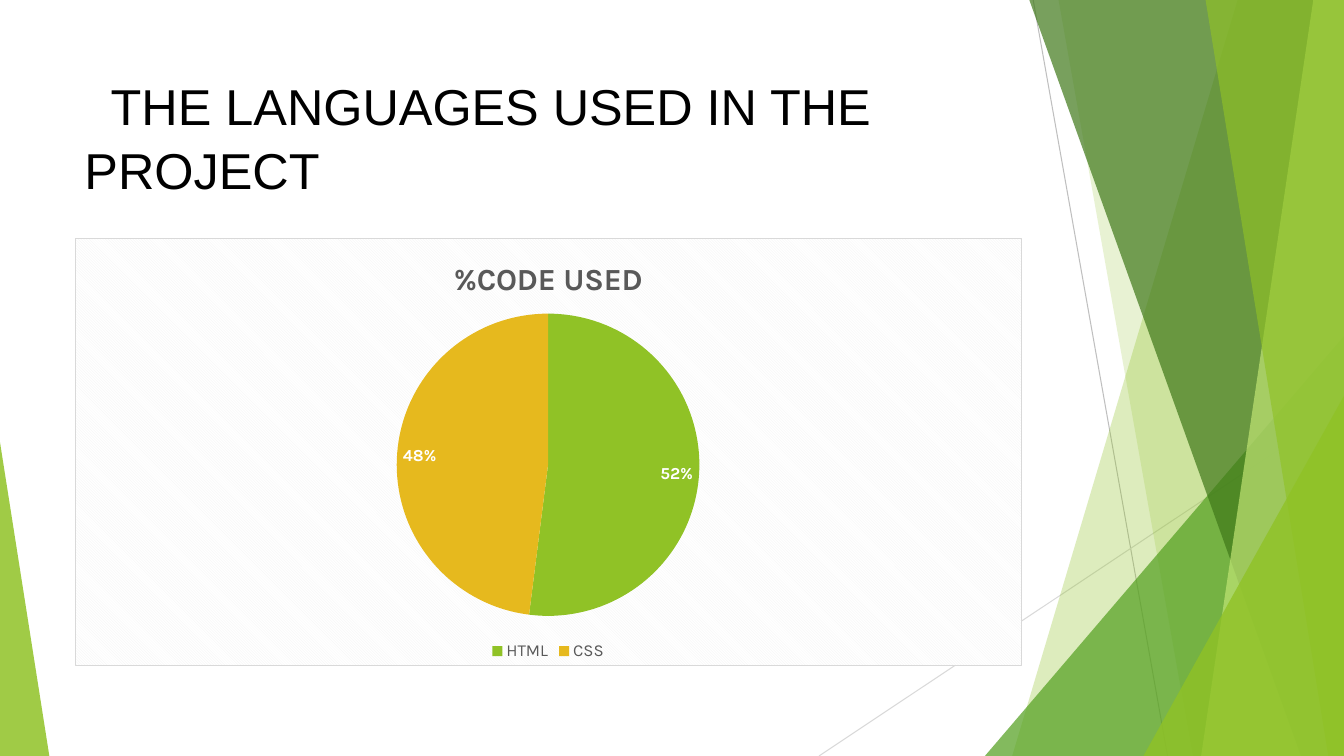
from lxml.etree import SubElement
from pptx import Presentation
from pptx.chart.data import CategoryChartData
from pptx.dml.color import RGBColor
from pptx.enum.chart import XL_CHART_TYPE, XL_LABEL_POSITION, XL_LEGEND_POSITION
from pptx.enum.shapes import MSO_CONNECTOR, MSO_SHAPE
from pptx.enum.text import MSO_ANCHOR
from pptx.oxml import parse_xml
from pptx.oxml.ns import nsdecls, qn
from pptx.util import Pt

PX = 9525
WIDTH, HEIGHT = 1280, 720

BLACK = RGBColor(0x00, 0x00, 0x00)
WHITE = RGBColor(0xFF, 0xFF, 0xFF)
TEXT_GRAY = RGBColor(0x59, 0x59, 0x59)
LINE_GRAY = RGBColor(0xBF, 0xBF, 0xBF)
BORDER_GRAY = RGBColor(0xD9, 0xD9, 0xD9)
HATCH_GRAY = RGBColor(0xF2, 0xF2, 0xF2)
LIME = RGBColor(0x90, 0xC2, 0x26)
GREEN = RGBColor(0x54, 0xA0, 0x21)
DARK_GREEN = RGBColor(0x3F, 0x78, 0x19)
PALE_LIME = RGBColor(0xC0, 0xE4, 0x74)
GOLD = RGBColor(0xE6, 0xB9, 0x1E)


def style_font(font, name, size, color, bold=False):
    font.name = name
    font.size = Pt(size)
    font.bold = bold
    font.color.rgb = color


def write(frame, text, *, font, size, color, bold=False, first_indent=0, spacing=None):
    paragraph = frame.paragraphs[0]
    if first_indent:
        paragraph._p.get_or_add_pPr().set("indent", str(first_indent * PX))
    if spacing:
        paragraph.line_spacing = spacing
    run = paragraph.add_run()
    run.text = text
    style_font(run.font, font, size, color, bold)


class Deck:
    title_font = "Arial"
    chart_font = "Karla"

    def __init__(self):
        self.presentation = Presentation()
        self.presentation.slide_width = WIDTH * PX
        self.presentation.slide_height = HEIGHT * PX
        blank = self.presentation.slide_layouts[6]
        self.slide = self.presentation.slides.add_slide(blank)
        self.shapes = self.slide.shapes

    def line(self, start, end, color):
        ends = [value * PX for value in (*start, *end)]
        connector = self.shapes.add_connector(MSO_CONNECTOR.STRAIGHT, *ends)
        connector.line.color.rgb = color
        connector.line.width = Pt(0.75)
        SubElement(connector._element.spPr, qn("a:effectLst"))

    def tint(self, shape, color, opacity):
        """Fill without outline; opacity is in percent."""
        shape.shadow.inherit = False
        shape.line.fill.background()
        shape.fill.solid()
        shape.fill.fore_color.rgb = color
        solid = shape._element.spPr.find(qn("a:solidFill"))
        SubElement(solid[0], qn("a:alpha")).set("val", str(opacity * 1000))

    def band(self, top_x, bottom_x, color, opacity):
        """Band from a slanted left edge to the right edge of the slide."""
        builder = self.shapes.build_freeform(top_x, -1, scale=PX)
        builder.add_line_segments([(WIDTH, -1), (WIDTH, HEIGHT), (bottom_x, HEIGHT)])
        self.tint(builder.convert_to_shape(), color, opacity)

    def corner(self, left, top, width, apex, color, opacity):
        """Triangle standing on the bottom edge; apex 0 is left, 1 is right."""
        box = [value * PX for value in (left, top, width, HEIGHT - top)]
        triangle = self.shapes.add_shape(MSO_SHAPE.ISOSCELES_TRIANGLE, *box)
        triangle.adjustments[0] = apex
        self.tint(triangle, color, opacity)

    def title(self, text, left, top, width, height):
        box = [value * PX for value in (left, top, width, height)]
        frame = self.shapes.add_textbox(*box).text_frame
        frame.word_wrap = True
        frame.vertical_anchor = MSO_ANCHOR.TOP
        write(frame, text, font=self.title_font, size=36, color=BLACK,
              first_indent=25, spacing=1.05)

    def pie(self, title, shares, left, top, width, height):
        """Pie chart; shares maps each category to its value and colour."""
        data = CategoryChartData()
        data.categories = list(shares)
        data.add_series("Series 1", [value for value, _ in shares.values()])
        box = [value * PX for value in (left, top, width, height)]
        chart = self.shapes.add_chart(XL_CHART_TYPE.PIE, *box, data).chart
        style_font(chart.font, self.chart_font, 10, BLACK)

        chart.has_title = True
        write(chart.chart_title.text_frame, title, font=self.chart_font,
              size=22, color=TEXT_GRAY, bold=True)
        chart.chart_title.include_in_layout = False

        chart.has_legend = True
        chart.legend.position = XL_LEGEND_POSITION.BOTTOM
        chart.legend.include_in_layout = False
        style_font(chart.legend.font, self.chart_font, 12, TEXT_GRAY)

        plot = chart.plots[0]
        plot.vary_by_categories = True
        for index, (_, color) in enumerate(shares.values()):
            slice_format = plot.series[0].points[index].format
            slice_format.fill.solid()
            slice_format.fill.fore_color.rgb = color
            slice_format.line.fill.background()

        plot.has_data_labels = True
        labels = plot.data_labels
        labels.show_value = False
        labels.show_percentage = True
        labels.number_format = "0%"
        labels.number_format_is_linked = False
        labels.position = XL_LABEL_POSITION.INSIDE_END
        style_font(labels.font, self.chart_font, 12, WHITE, bold=True)

        self.hatch(chart)
        self.place_plot(chart, x=0.34, y=0.17, w=0.32, h=0.72)

    def hatch(self, chart):
        """Give the chart area its diagonal pattern and thin border."""
        chart.element.find(qn("c:chart")).addnext(parse_xml(
            f'<c:spPr {nsdecls("c", "a")}><a:pattFill prst="dkDnDiag">'
            f'<a:fgClr><a:srgbClr val="{HATCH_GRAY}"/></a:fgClr>'
            f'<a:bgClr><a:srgbClr val="{WHITE}"/></a:bgClr></a:pattFill>'
            f'<a:ln w="{Pt(0.75)}"><a:solidFill><a:srgbClr val="{BORDER_GRAY}"/>'
            '</a:solidFill></a:ln></c:spPr>'))

    def place_plot(self, chart, **fractions):
        """Fix the plot area at fractions of the chart's size."""
        area = chart.element.find(qn("c:chart")).find(qn("c:plotArea"))
        for automatic in area.findall(qn("c:layout")):
            area.remove(automatic)
        modes = '<c:xMode val="edge"/><c:yMode val="edge"/>'
        sizes = "".join(f'<c:{key} val="{value}"/>' for key, value in fractions.items())
        area.insert(0, parse_xml(
            f'<c:layout {nsdecls("c")}><c:manualLayout><c:layoutTarget val="inner"/>'
            f'{modes}{sizes}</c:manualLayout></c:layout>'))


def main():
    deck = Deck()
    deck.line((984, 0), (1112, HEIGHT), LINE_GRAY)
    deck.line((WIDTH, 387), (780, HEIGHT), BORDER_GRAY)
    deck.band(1179, 964, LIME, 30)
    deck.band(1008, 1136, LIME, 20)
    deck.corner(938, 320, 342, 1, GREEN, 72)
    deck.band(980, 1239, DARK_GREEN, 70)
    deck.band(1251, 1144, PALE_LIME, 70)
    deck.band(1148, 1265, LIME, 65)
    deck.corner(1089, 377, 191, 1, LIME, 80)
    deck.corner(0, 421, 47, 0, LIME, 85)

    deck.title("THE LANGUAGES USED IN THE PROJECT", 71, 64, 902, 138)
    deck.pie("%CODE USED", {"HTML": (52, LIME), "CSS": (48, GOLD)}, 71, 227, 902, 407)
    deck.presentation.save("out.pptx")


if __name__ == "__main__":
    main()
